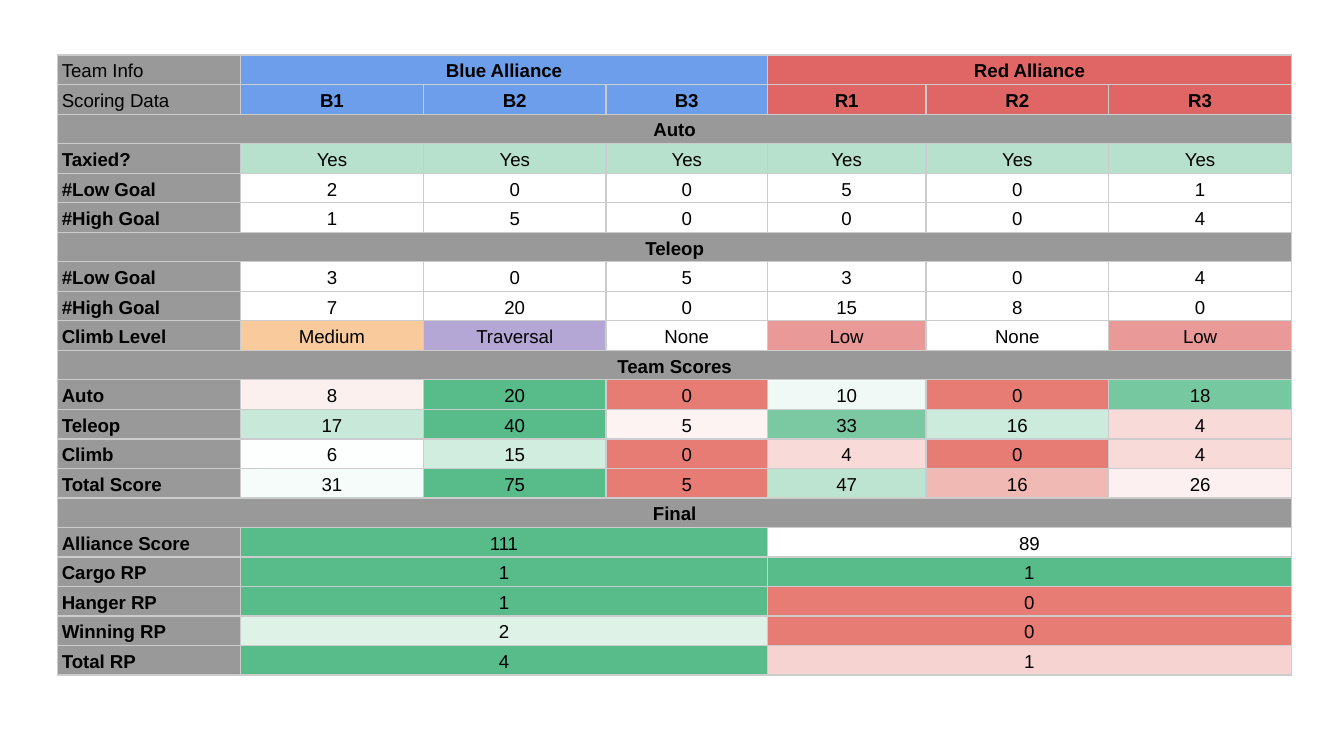
from dataclasses import dataclass

from lxml.etree import SubElement
from pptx import Presentation
from pptx.dml.color import RGBColor
from pptx.enum.text import MSO_ANCHOR, PP_ALIGN
from pptx.oxml.ns import qn
from pptx.table import Table, _Cell
from pptx.util import Inches, Pt


@dataclass(frozen=True)
class Theme:
    font: str = "Arial"
    size: float = 10
    lead: float = 1.15
    rule: float = 0.75
    edge: str = "CCCCCC"
    ink: str = "000000"
    gray: str = "999999"
    white: str = "FFFFFF"
    blue: str = "6D9EEB"
    red: str = "E06666"
    mint: str = "B7E1CD"
    green: str = "57BB8A"
    coral: str = "E67C73"
    blush: str = "F8DBD8"
    peach: str = "F9CB9C"
    mauve: str = "B4A7D6"
    rose: str = "EA9999"


@dataclass(frozen=True)
class Row:
    """Values share the columns right of the label; one fill may serve them all."""
    label: str
    values: str = ""
    fills: tuple[str, ...] = ()
    head: bool = False


THEME = Theme()
WHITE, GREEN, CORAL, BLUSH = THEME.white, THEME.green, THEME.coral, THEME.blush
WIDE = 10
TALL = WIDE * 9 / 16
WIDTHS = (1.36, 1.36, 1.36, 1.2, 1.18, 1.36, 1.36)
HEIGHT = 0.22
LEFT, TOP = 0.43, 0.41

ROWS = (
    Row("Team Info", "Blue Alliance|Red Alliance", (THEME.blue, THEME.red), True),
    Row("Scoring Data", "B1|B2|B3|R1|R2|R3", (THEME.blue,) * 3 + (THEME.red,) * 3, True),
    Row("Auto"),
    Row("Taxied?", "Yes|Yes|Yes|Yes|Yes|Yes", (THEME.mint,)),
    Row("#Low Goal", "2|0|0|5|0|1", (WHITE,)),
    Row("#High Goal", "1|5|0|0|0|4", (WHITE,)),
    Row("Teleop"),
    Row("#Low Goal", "3|0|5|3|0|4", (WHITE,)),
    Row("#High Goal", "7|20|0|15|8|0", (WHITE,)),
    Row("Climb Level", "Medium|Traversal|None|Low|None|Low",
        (THEME.peach, THEME.mauve, WHITE, THEME.rose, WHITE, THEME.rose)),
    Row("Team Scores"),
    Row("Auto", "8|20|0|10|0|18", ("FCF0EF", GREEN, CORAL, "F0F9F5", CORAL, "76C8A0")),
    Row("Teleop", "17|40|5|33|16|4", ("C8E9D9", GREEN, "FCF3F2", "7AC9A2", "CCEBDC", BLUSH)),
    Row("Climb", "6|15|0|4|0|4", ("FDFFFE", "D1EDDF", CORAL, BLUSH, CORAL, BLUSH)),
    Row("Total Score", "31|75|5|47|16|26",
        ("F6FCF9", GREEN, CORAL, "BDE4D1", "F1B9B4", "FCF1F0")),
    Row("Final"),
    Row("Alliance Score", "111|89", (GREEN, WHITE)),
    Row("Cargo RP", "1|1", (GREEN,)),
    Row("Hanger RP", "1|0", (GREEN, CORAL)),
    Row("Winning RP", "2|0", ("DEF2E8", CORAL)),
    Row("Total RP", "4|1", (GREEN, "F6D3D0")),
)


def frame(cell: _Cell) -> None:
    """Rule all four sides of a cell; must come before its fill."""
    props = cell._tc.get_or_add_tcPr()
    for side in ("lnL", "lnR", "lnT", "lnB"):
        line = SubElement(props, qn(f"a:{side}"), w=str(Pt(THEME.rule)))
        fill = SubElement(line, qn("a:solidFill"))
        SubElement(fill, qn("a:srgbClr"), val=THEME.edge)


def paint(cell: _Cell, fill: str) -> None:
    frame(cell)
    cell.fill.solid()
    cell.fill.fore_color.rgb = RGBColor.from_string(fill)
    cell.vertical_anchor = MSO_ANCHOR.BOTTOM
    cell.margin_left = cell.margin_right = Inches(0.03)
    cell.margin_top = cell.margin_bottom = Inches(0.02)


def write(cell: _Cell, text: str, bold: bool, align: PP_ALIGN) -> None:
    para = cell.text_frame.paragraphs[0]
    para.text = text
    para.alignment = align
    para.line_spacing = THEME.lead
    font = para.runs[0].font
    font.name = THEME.font
    font.size = Pt(THEME.size)
    font.bold = bold
    font.color.rgb = RGBColor.from_string(THEME.ink)


def place(table: Table, row: int, col: int, span: int, text: str,
          fill: str, bold: bool, align: PP_ALIGN = PP_ALIGN.CENTER) -> None:
    """Fill a run of cells and merge it into one."""
    for step in range(span):
        paint(table.cell(row, col + step), fill)
    first = table.cell(row, col)
    if span > 1:
        first.merge(table.cell(row, col + span - 1))
    write(first, text, bold, align)


def draw(table: Table, index: int, row: Row) -> None:
    count = len(WIDTHS)
    if not row.values:
        place(table, index, 0, count, row.label, THEME.gray, True)
        return
    place(table, index, 0, 1, row.label, THEME.gray, not row.head, PP_ALIGN.LEFT)
    values = row.values.split("|")
    span = (count - 1) // len(values)
    for spot, text in enumerate(values):
        fill = row.fills[spot % len(row.fills)]
        place(table, index, 1 + spot * span, span, text, fill, row.head)


def main() -> None:
    deck = Presentation()
    deck.slide_width, deck.slide_height = Inches(WIDE), Inches(TALL)
    slide = deck.slides.add_slide(deck.slide_layouts[6])
    table = slide.shapes.add_table(
        len(ROWS), len(WIDTHS), Inches(LEFT), Inches(TOP),
        Inches(sum(WIDTHS)), Inches(HEIGHT * len(ROWS))).table
    table.first_row = table.horz_banding = False
    for col, width in zip(table.columns, WIDTHS):
        col.width = Inches(width)
    for index, row in enumerate(ROWS):
        table.rows[index].height = Inches(HEIGHT)
        draw(table, index, row)
    deck.save("out.pptx")


if __name__ == "__main__":
    main()
